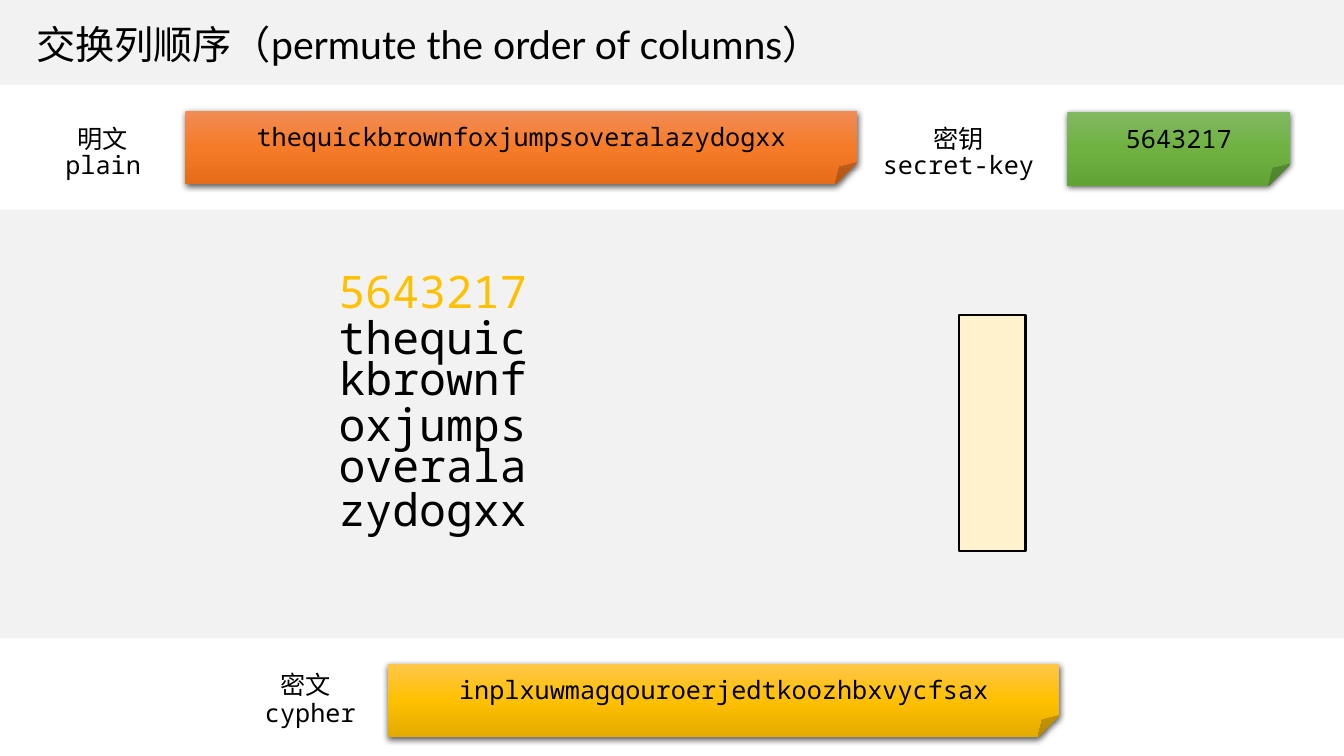
"""Build a slide showing a columnar transposition cipher with a secret key."""
from copy import deepcopy

from lxml import etree
from pptx import Presentation
from pptx.dml.color import RGBColor
from pptx.enum import shapes, text
from pptx.oxml.ns import qn
from pptx.util import Pt

BLACK = RGBColor(0x00, 0x00, 0x00)
BAND_GREY = RGBColor(0xF2, 0xF2, 0xF2)
CREAM = RGBColor(0xFF, 0xF2, 0xCC)
GOLD = RGBColor(0xFF, 0xC0, 0x00)
ORANGE_SHADES = [RGBColor(0xF1, 0x8C, 0x57), RGBColor(0xF6, 0x7B, 0x28), RGBColor(0xE5, 0x6C, 0x19)]
GOLD_SHADES = [RGBColor(0xFF, 0xC6, 0x4B), GOLD, RGBColor(0xE3, 0xAB, 0x00)]
GREEN_SHADES = [RGBColor(0x81, 0xB8, 0x61), RGBColor(0x6F, 0xB2, 0x42), RGBColor(0x62, 0xA3, 0x36)]
MONO = "Noto Sans Mono"


def write(holder, words, font, size, align, color=BLACK):
    holder.text_frame.text = words
    paragraph = holder.text_frame.paragraphs[0]
    paragraph.alignment = align
    run = paragraph.runs[0]
    run.font.color.rgb = color
    for key, value in {"name": font, "size": Pt(size), "bold": False}.items():
        setattr(run.font, key, value)


def add_panel(kind, left, top, width, height):
    panel = slide.shapes.add_shape(kind, Pt(left), Pt(top), Pt(width), Pt(height))
    panel.shadow.inherit = False
    panel.line.fill.background()
    panel.fill.solid()
    return panel


deck = Presentation()
deck.slide_width, deck.slide_height = Pt(960), Pt(540)
slide = deck.slides.add_slide(deck.slide_layouts[5])

for top, height in [(0, 60.5), (149.75, 306)]:
    band = add_panel(shapes.MSO_SHAPE.RECTANGLE, 0, top, 960, height)
    band.fill.fore_color.rgb = BAND_GREY

title = slide.shapes.title
title.element.getparent().append(title.element)
title_place = {"left": 18.75, "top": 10.8, "width": 602.5, "height": 41}
for key, value in title_place.items():
    setattr(title, key, Pt(value))
title_format = {"word_wrap": False, "auto_size": text.MSO_AUTO_SIZE.NONE,
                "vertical_anchor": text.MSO_ANCHOR.TOP}
for key, value in title_format.items():
    setattr(title.text_frame, key, value)
write(title, "交换列顺序（permute the order of columns）", "Lato", 28, text.PP_ALIGN.LEFT)

notes = [
    ("thequickbrownfoxjumpsoveralazydogxx", 132.5, 79, 479.5, ORANGE_SHADES),
    ("inplxuwmagqouroerjedtkoozhbxvycfsax", 277.2, 474, 479.5, GOLD_SHADES),
    ("5643217", 762.5, 80, 159, GREEN_SHADES),
]
for letters, left, top, width, shades in notes:
    note = add_panel(shapes.MSO_SHAPE.FOLDED_CORNER, left, top, width, 52.6)
    outline = note.element.spPr.find(qn("a:prstGeom"))
    outline.set("prst", "foldedCorner")
    fold = outline.find(qn("a:avLst"))
    etree.SubElement(fold, qn("a:gd"), name="adj", fmla="val 29300")
    note.fill.gradient()
    note.fill.gradient_angle = 270
    stop_list = note.element.spPr.find(qn("a:gradFill")).find(qn("a:gsLst"))
    stop_list.append(deepcopy(stop_list[-1]))
    for stop, position, shade in zip(note.fill.gradient_stops, (0, 0.5, 1), shades):
        stop.position = position
        stop.color.rgb = shade
    effects = note.element.spPr.find(qn("a:effectLst"))
    shadow = etree.SubElement(effects, qn("a:outerShdw"), blurRad=str(Pt(4.5)),
                              dist=str(Pt(1.5)), dir="5400000", algn="ctr", rotWithShape="0")
    shadow_color = etree.SubElement(shadow, qn("a:srgbClr"), val=str(BLACK))
    etree.SubElement(shadow_color, qn("a:alpha"), val="63000")
    note.text_frame.vertical_anchor = text.MSO_ANCHOR.MIDDLE
    write(note, letters, MONO, 18, text.PP_ALIGN.CENTER)

column_marker = add_panel(shapes.MSO_SHAPE.RECTANGLE, 684.75, 225.25, 47.75, 168.5)
column_marker.fill.fore_color.rgb = CREAM
column_marker.line.color.rgb = BLACK
column_marker.line.width = Pt(1.5)

labels = [
    ("plain", MONO, 39.6, 103, 69),
    ("明文", "Arial", 48.25, 84.25, 51),
    ("cypher", MONO, 182.2, 494.6, 80),
    ("密文", "Arial", 193, 474.5, 51),
    ("secret-key", MONO, 623.5, 103, 123),
    ("密钥", "Lato", 659.5, 84.25, 51),
]
for words, font, left, top, width in labels:
    label = slide.shapes.add_textbox(Pt(left), Pt(top), Pt(width), Pt(29))
    label.text_frame.word_wrap = False
    label.text_frame.auto_size = text.MSO_AUTO_SIZE.SHAPE_TO_FIT_TEXT
    write(label, words, font, 18, text.PP_ALIGN.LEFT)

grid_rows = [
    ("5643217", 185, GOLD),
    ("thequic", 217.5, BLACK),
    ("kbrownf", 247, BLACK),
    ("oxjumps", 279.5, BLACK),
    ("overala", 309, BLACK),
    ("zydogxx", 340.5, BLACK),
]
for letters, top, color in grid_rows:
    grid_row = slide.shapes.add_textbox(Pt(234.75), Pt(top), Pt(489.5), Pt(46))
    grid_row.text_frame.word_wrap = True
    grid_row.text_frame.auto_size = text.MSO_AUTO_SIZE.SHAPE_TO_FIT_TEXT
    write(grid_row, letters, MONO, 32, text.PP_ALIGN.JUSTIFY, color)

deck.save("out.pptx")
